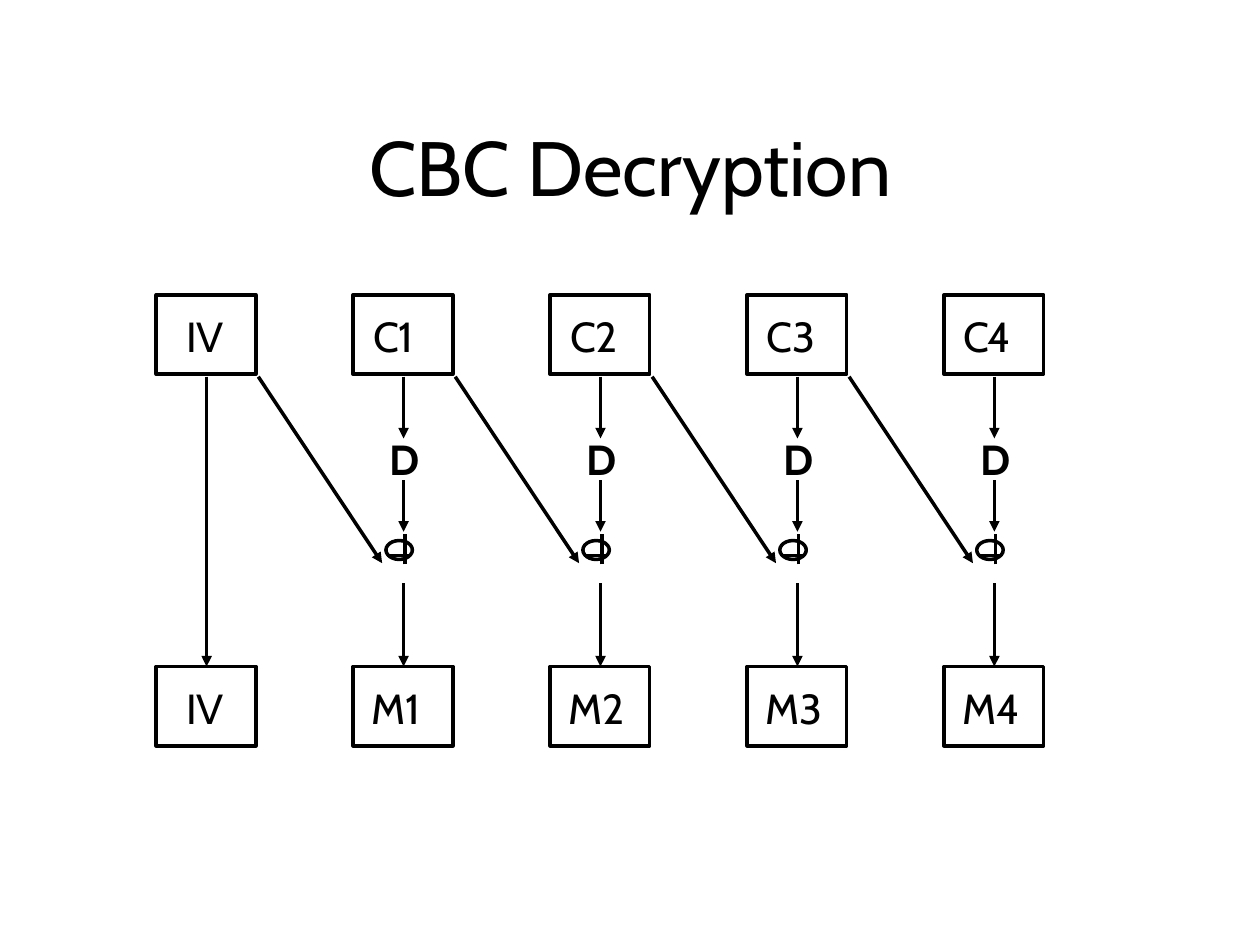
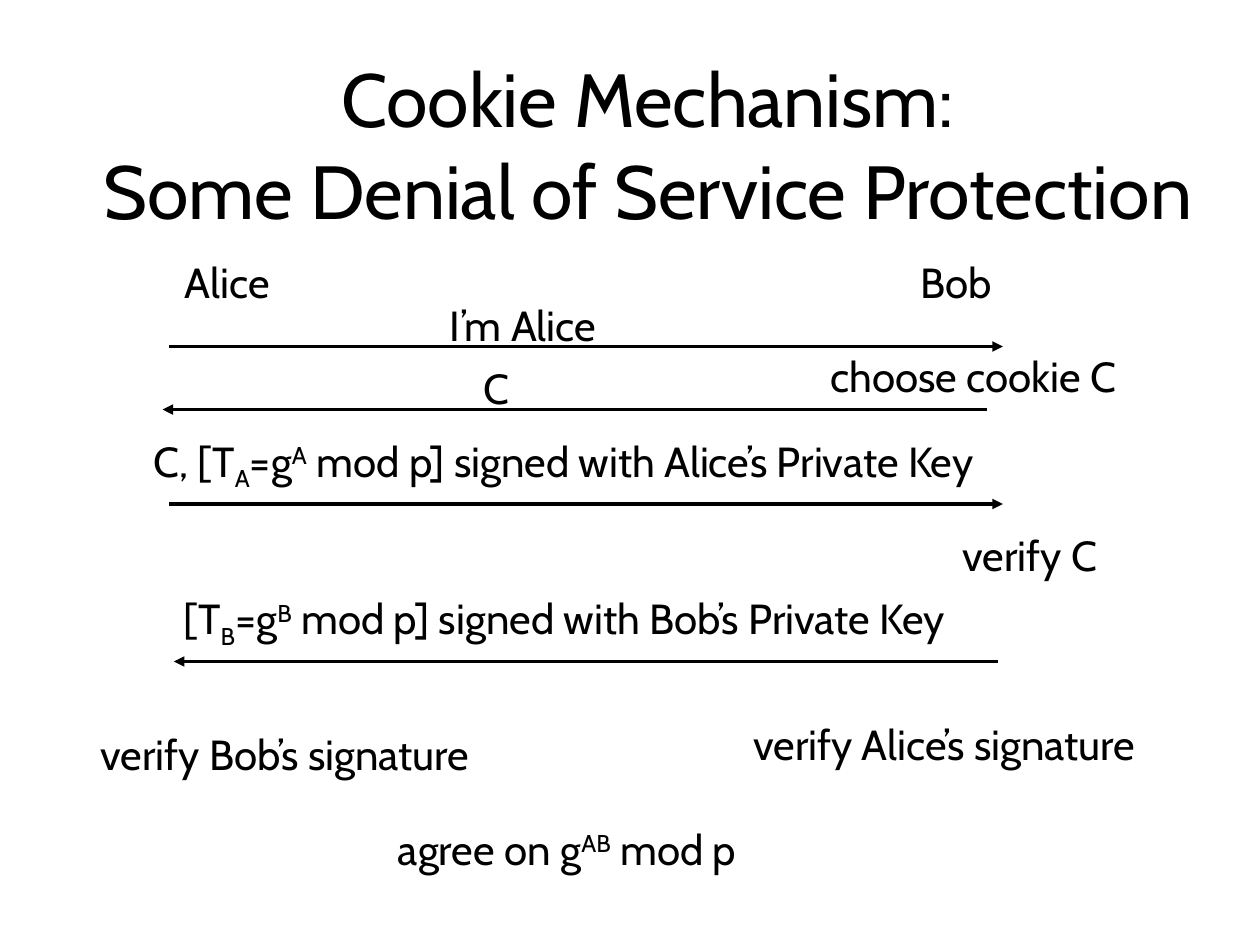
from dataclasses import dataclass
from typing import Any

from lxml.etree import SubElement
from pptx import Presentation
from pptx.dml.color import RGBColor
from pptx.enum.shapes import MSO_CONNECTOR, MSO_SHAPE
from pptx.enum.text import MSO_ANCHOR, MSO_AUTO_SIZE, PP_ALIGN
from pptx.oxml.ns import qn
from pptx.util import Inches, Pt

SLIDE_WIDTH, SLIDE_HEIGHT = Inches(10), Inches(7.5)
COLUMNS, ROWS = 100, 75
INK, PAPER = "000000", "FFFFFF"
LINE_WIDTH = Pt(2)
BODY_SIZE = 24
SUPERSCRIPT, SUBSCRIPT = 30000, -25000
LABEL_HEIGHT = 5.1

FRAME_FORMAT = {
    "margin_left": Inches(0.1),
    "margin_right": Inches(0.1),
    "margin_top": Inches(0.05),
    "margin_bottom": Inches(0.05),
}
TITLE_FRAME = FRAME_FORMAT | {
    "word_wrap": True,
    "auto_size": MSO_AUTO_SIZE.NONE,
    "vertical_anchor": MSO_ANCHOR.MIDDLE,
}
LABEL_FRAME = FRAME_FORMAT | {
    "word_wrap": False,
    "auto_size": MSO_AUTO_SIZE.SHAPE_TO_FIT_TEXT,
    "vertical_anchor": MSO_ANCHOR.TOP,
}


@dataclass(frozen=True)
class Run:
    text: str
    baseline: int = 0


@dataclass(frozen=True)
class Label:
    left: float
    top: float
    width: float
    runs: tuple[Run, ...]
    height: float = LABEL_HEIGHT
    bold: bool = False


@dataclass(frozen=True)
class Line:
    start: tuple[float, float]
    end: tuple[float, float]
    arrow: bool = True


@dataclass(frozen=True)
class BlockText:
    prefix: str
    inset: float
    width: float


PITCH = 15.63
FIRST_LEFT = 12.4
BLOCK_WIDTH, BLOCK_HEIGHT = 7.9, 6.3
CENTRE = 4
CIPHER_TOP, PLAIN_TOP = 23.4, 52.9
BLOCK_EXIT = 29.9
BLOCK_COUNT = 5
VECTOR = BlockText("IV", 1.4, 5.2)
CIPHER = BlockText("C", 0.6, 6)
PLAIN = BlockText("M", 0.5, 7)
STEP_ARROWS = ((BLOCK_EXIT, 34.8), (38.1, 42.2), (46.3, PLAIN_TOP))

MESSAGE_ARROWS = (
    Line((13.4, 27.5), (79.6, 27.5)),
    Line((78.3, 32.5), (12.9, 32.5)),
    Line((13.4, 40), (79.6, 40)),
    Line((79.2, 52.5), (13.8, 52.5)),
)


def signed_key(opening: str, party: str, name: str) -> tuple[Run, ...]:
    return (
        Run(opening),
        Run(party, SUBSCRIPT),
        Run("=g"),
        Run(party, SUPERSCRIPT),
        Run(f" mod p] signed with {name}’s Private Key"),
    )


EXCHANGE_LABELS = (
    Label(13.7, 19.8, 9.4, (Run("Alice"),)),
    Label(72.1, 19.8, 8.3, (Run("Bob"),)),
    Label(34.7, 23.2, 15.1, (Run("I’m Alice"),)),
    Label(64.9, 27.3, 27.2, (Run("choose cookie C"),)),
    Label(37.4, 28.2, 4.1, (Run("C"),)),
    Label(11.2, 34, 75, signed_key("C, [T", "A", "Alice"), 5.6),
    Label(75.4, 41.5, 13.7, (Run("verify C"),)),
    Label(13.6, 46.5, 70, signed_key("[T", "B", "Bob"), 5.6),
    Label(58.8, 56.5, 36.9, (Run("verify Alice’s signature"),)),
    Label(7, 57.3, 35.8, (Run("verify Bob’s signature"),)),
    Label(30.6, 64.8, 32.4,
          (Run("agree on g"), Run("AB", SUPERSCRIPT), Run(" mod p"))),
)


def color(value: str) -> RGBColor:
    return RGBColor.from_string(value)


def column(count: float) -> int:
    return round(SLIDE_WIDTH * count / COLUMNS)


def row(count: float) -> int:
    return round(SLIDE_HEIGHT * count / ROWS)


def box(left: float, top: float, width: float, height: float) -> tuple[int, ...]:
    return column(left), row(top), column(width), row(height)


def apply_format(target: Any, values: dict[str, Any]) -> None:
    for name, value in values.items():
        setattr(target, name, value)


def write(shape: Any, runs: tuple[Run, ...], frame_format: dict[str, Any],
          size: float, alignment: PP_ALIGN, bold: bool = False) -> None:
    frame = shape.text_frame
    apply_format(frame, frame_format)
    paragraph = frame.paragraphs[0]
    apply_format(paragraph, {"alignment": alignment, "line_spacing": 1.01})
    for item in runs:
        for index, part in enumerate(item.text.split("\n")):
            if index:
                paragraph.add_line_break()
            run = paragraph.add_run()
            run.text = part
            apply_format(run.font, {"name": "Cabin", "size": Pt(size), "bold": bold})
            run.font.color.rgb = color(INK)
            if item.baseline:
                run._r.get_or_add_rPr().set("baseline", str(item.baseline))


def add_titled_slide(presentation: Any, title: str, size: float,
                     area: tuple[int, ...]) -> Any:
    slide = presentation.slides.add_slide(presentation.slide_layouts[5])
    slide.background.fill.solid()
    slide.background.fill.fore_color.rgb = color(PAPER)
    placeholder = slide.shapes.title
    apply_format(placeholder, dict(zip(("left", "top", "width", "height"), area)))
    write(placeholder, (Run(title),), TITLE_FRAME, size, PP_ALIGN.CENTER)
    return slide


def draw_label(shapes: Any, label: Label) -> None:
    shape = shapes.add_textbox(*box(label.left, label.top, label.width, label.height))
    write(shape, label.runs, LABEL_FRAME, BODY_SIZE, PP_ALIGN.LEFT, label.bold)


def draw_outline(line: Any) -> None:
    line.color.rgb = color(INK)
    line.width = LINE_WIDTH


def draw_line(shapes: Any, line: Line) -> None:
    (start_x, start_y), (end_x, end_y) = line.start, line.end
    connector = shapes.add_connector(
        MSO_CONNECTOR.STRAIGHT,
        column(start_x), row(start_y), column(end_x), row(end_y))
    draw_outline(connector.line)
    if line.arrow:
        SubElement(connector.line._get_or_add_ln(), qn("a:tailEnd"), type="triangle")
    SubElement(connector._element.spPr, qn("a:effectLst"))


def draw_block(shapes: Any, index: int, top: float, kind: BlockText) -> None:
    left = FIRST_LEFT + index * PITCH
    shape = shapes.add_shape(MSO_SHAPE.ROUNDED_RECTANGLE,
                             *box(left, top, BLOCK_WIDTH, BLOCK_HEIGHT))
    shape.adjustments[0] = 0
    shape.shadow.inherit = False
    shape.fill.solid()
    shape.fill.fore_color.rgb = color(PAPER)
    draw_outline(shape.line)
    text = f"{kind.prefix}{index or ''}"
    draw_label(shapes, Label(left + kind.inset, top + 0.7, kind.width, (Run(text),)))


def draw_exclusive_or(shapes: Any, left: float) -> None:
    group = shapes.add_group_shape().shapes
    draw_line(group, Line((left + 2.7, 44.1), (left + 4.6, 44.1), arrow=False))
    draw_line(group, Line((left + 4.1, 44.8), (left + 4.1, 42.4), arrow=False))
    circle = group.add_shape(MSO_SHAPE.OVAL, *box(left + 2.6, 42.9, 2.1, 1.5))
    circle.shadow.inherit = False
    circle.fill.background()
    draw_outline(circle.line)


def build_decryption(presentation: Any) -> None:
    slide = add_titled_slide(presentation, "CBC Decryption", 44, box(8.1, 7, 83.9, 12.3))
    shapes = slide.shapes
    for index in range(BLOCK_COUNT):
        draw_block(shapes, index, CIPHER_TOP, CIPHER if index else VECTOR)
        draw_block(shapes, index, PLAIN_TOP, PLAIN if index else VECTOR)
    middle = FIRST_LEFT + CENTRE
    draw_line(shapes, Line((middle, BLOCK_EXIT), (middle, PLAIN_TOP)))
    for index in range(1, BLOCK_COUNT):
        left = FIRST_LEFT + index * PITCH
        middle = left + CENTRE
        for start, end in STEP_ARROWS:
            draw_line(shapes, Line((middle, start), (middle, end)))
        draw_line(shapes, Line((left - PITCH + 8.1, BLOCK_EXIT), (left + 2.3, 44.7)))
        draw_exclusive_or(shapes, left)
        draw_label(shapes, Label(left + 1.9, 33.9, 4.5, (Run("D"),), bold=True))


def build_cookie_exchange(presentation: Any) -> None:
    title = "Cookie Mechanism:\nSome Denial of Service Protection"
    slide = add_titled_slide(presentation, title, 43, box(5.8, 0, 91.2, 22.7))
    for arrow in MESSAGE_ARROWS:
        draw_line(slide.shapes, arrow)
    for label in EXCHANGE_LABELS:
        draw_label(slide.shapes, label)


def main() -> None:
    presentation = Presentation()
    apply_format(presentation, {"slide_width": SLIDE_WIDTH, "slide_height": SLIDE_HEIGHT})
    build_decryption(presentation)
    build_cookie_exchange(presentation)
    presentation.save("out.pptx")


if __name__ == "__main__":
    main()
